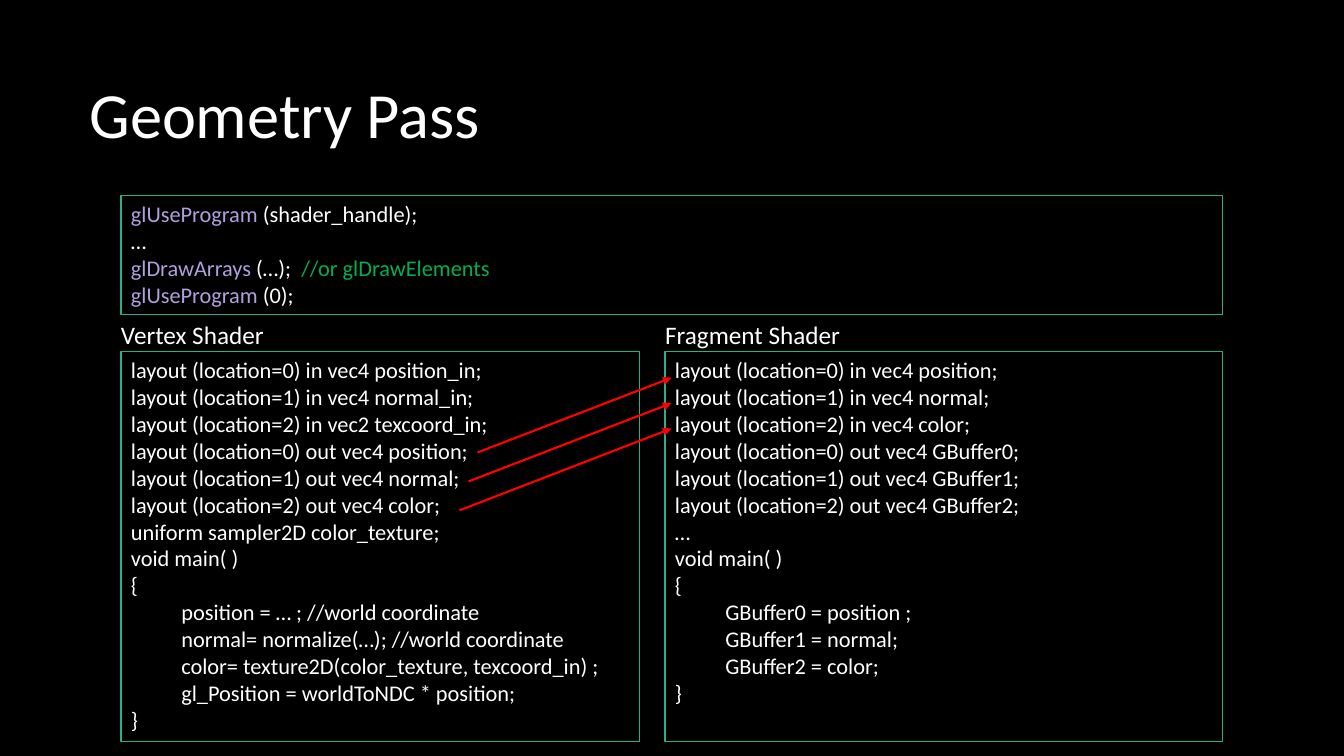
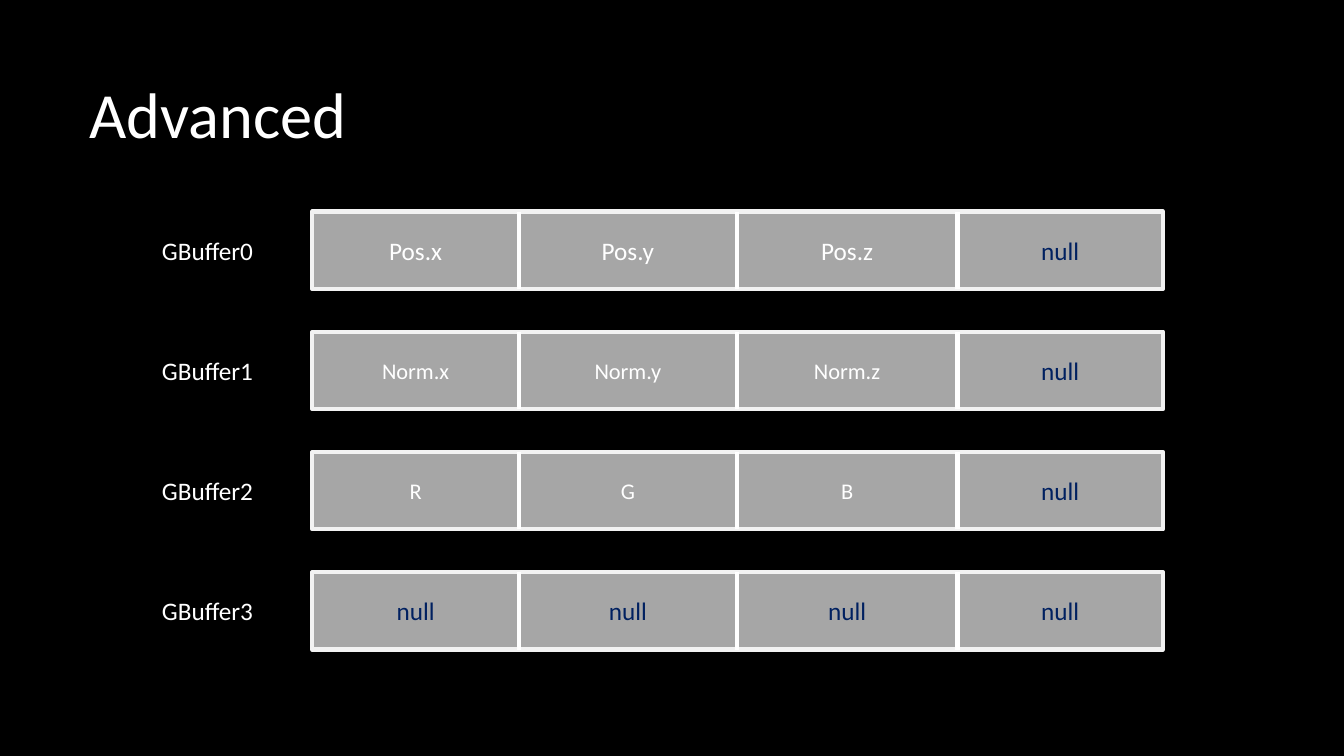
import itertools

import pptx
import pptx.dml.color
import pptx.enum.shapes
import pptx.enum.text
import pptx.oxml
import pptx.oxml.ns
import pptx.util

Cm = pptx.util.Cm
Pt = pptx.util.Pt
RGB = pptx.dml.color.RGBColor
ALIGN = pptx.enum.text.PP_ALIGN
ANCHOR = pptx.enum.text.MSO_ANCHOR
RECT = pptx.enum.shapes.MSO_SHAPE.RECTANGLE
STRAIGHT = pptx.enum.shapes.MSO_CONNECTOR.STRAIGHT

BLACK = RGB(0x00, 0x00, 0x00)
WHITE = RGB(0xFF, 0xFF, 0xFF)
GREEN = RGB(0x29, 0xAF, 0x8C)
LILAC = RGB(0xB0, 0xA0, 0xDD)
NOTE = RGB(0x00, 0xB0, 0x50)
RED = RGB(0xFF, 0x00, 0x00)
GREY = RGB(0xA6, 0xA6, 0xA6)
PALE = RGB(0xF2, 0xF2, 0xF2)
NAVY = RGB(0x00, 0x20, 0x60)

FONT = "Calibri"
TAB = Cm(1.27)

CALLS = [
    [("glUseProgram ", LILAC), ("(shader_handle);", WHITE)],
    "…",
    [("glDrawArrays", LILAC), (" (…);  ", WHITE), ("//or glDrawElements", NOTE)],
    [("glUseProgram ", LILAC), ("(0);", WHITE)],
]
VERTEX = [
    "layout (location=0) in vec4 position_in;",
    "layout (location=1) in vec4 normal_in;",
    "layout (location=2) in vec2 texcoord_in;",
    "layout (location=0) out vec4 position;",
    "layout (location=1) out vec4 normal;",
    "layout (location=2) out vec4 color;",
    "uniform sampler2D color_texture;",
    "void main( )",
    "{",
    "\tposition = … ; //world coordinate",
    "\tnormal= normalize(…); //world coordinate",
    "\tcolor= texture2D(color_texture, texcoord_in) ;",
    "\tgl_Position = worldToNDC * position;",
    "}",
]
FRAGMENT = [
    "layout (location=0) in vec4 position;",
    "layout (location=1) in vec4 normal;",
    "layout (location=2) in vec4 color;",
    "layout (location=0) out vec4 GBuffer0;",
    "layout (location=1) out vec4 GBuffer1;",
    "layout (location=2) out vec4 GBuffer2;",
    "…",
    "void main( )",
    "{",
    "\tGBuffer0 = position ;",
    "\tGBuffer1 = normal;",
    "\tGBuffer2 = color;",
    "}",
]
BUFFERS = [
    ("GBuffer0", ["Pos.x", "Pos.y", "Pos.z", "null"], 18),
    ("GBuffer1", ["Norm.x", "Norm.y", "Norm.z", "null"], 16),
    ("GBuffer2", ["R", "G", "B", "null"], 16),
    ("GBuffer3", ["null"] * 4, 18),
]
EDGES = [0, 5.21, 10.7, 16.26, 21.44]


def write(shape, lines, size=16, color=WHITE, align=ALIGN.LEFT,
          anchor=ANCHOR.TOP, space=None):
    """Fill a shape with lines, each a string or a list of (text, colour)."""
    frame = shape.text_frame
    frame.word_wrap = True
    frame.auto_size = pptx.enum.text.MSO_AUTO_SIZE.NONE
    frame.vertical_anchor = anchor
    for i, line in enumerate(lines):
        para = frame.add_paragraph() if i else frame.paragraphs[0]
        para.alignment = align
        if space:
            para.line_spacing = space
        runs = [(line, color)] if isinstance(line, str) else line
        if runs[0][0].startswith("\t"):
            para._p.get_or_add_pPr().append(pptx.oxml.parse_xml(
                f'<a:tabLst {pptx.oxml.ns.nsdecls("a")}>'
                f'<a:tab pos="{TAB}" algn="l"/></a:tabLst>'))
        for words, tint in runs:
            run = para.add_run()
            run.text = words
            run.font.name = FONT
            run.font.size = Pt(size)
            run.font.color.rgb = tint


def label(slide, box, words, **form):
    shape = slide.shapes.add_textbox(*map(Cm, box))
    write(shape, [words], **form)
    return shape


def frame(slide, box, line, width, fill=None):
    """Draw a rectangle with a plain outline."""
    shape = slide.shapes.add_shape(RECT, *map(Cm, box))
    shape.shadow.inherit = False
    if fill is None:
        shape.fill.background()
    else:
        shape.fill.solid()
        shape.fill.fore_color.rgb = fill
    shape.line.color.rgb = line
    shape.line.width = Pt(width)
    return shape


def rule(slide, ends, color, width, head=False):
    """Draw a straight line, with an arrowhead if asked."""
    line = slide.shapes.add_connector(STRAIGHT, *map(Cm, ends))
    line.line.color.rgb = color
    line.line.width = Pt(width)
    space = pptx.oxml.ns.nsdecls("a")
    if head:
        line.line._get_or_add_ln().append(
            pptx.oxml.parse_xml(f'<a:tailEnd {space} type="triangle"/>'))
    line._element.spPr.append(pptx.oxml.parse_xml(f"<a:effectLst {space}/>"))


def start(deck, title):
    """Add a slide with its title."""
    slide = deck.slides.add_slide(deck.slide_layouts[5])
    head = slide.shapes.title
    head.left, head.top, head.width, head.height = map(Cm, (2, 1.63, 13.6, 2.34))
    write(head, [title], size=46, anchor=ANCHOR.BOTTOM, space=0.9)
    return slide


def panel(slide, box, code, name=None):
    """Draw a code box, with its name above it."""
    left, top, wide, _ = box
    write(frame(slide, box, GREEN, 0.75), code)
    if name:
        tag = label(slide, (left, top - 0.95, wide, 1.02), name, size=18)
        tag.text_frame.margin_left = 0


def links(slide, left, top):
    """Join the three outputs to the inputs of the box at left, top."""
    for i in range(3):
        ends = (left - 4.72 - 0.23 * i, top + 2.54 + 0.73 * i,
                left + 0.16, top + 0.66 + 0.64 * i)
        rule(slide, ends, RED, 1.5, head=True)


def strip(slide, box, name, cells, size):
    """Draw a buffer as a row of cells, with its name to the left."""
    left, top, wide, high = box
    mid = dict(align=ALIGN.CENTER, anchor=ANCHOR.MIDDLE)
    frame(slide, box, PALE, 3, GREY)
    for edge in EDGES[1:-1]:
        rule(slide, (left + edge, top, left + edge, top + high), WHITE, 3)
    label(slide, (left - 4.47, top, 3.66, high), name, size=18, **mid)
    for words, (near, far) in zip(cells, itertools.pairwise(EDGES)):
        form = (dict(size=18, color=NAVY) if words == "null"
                else dict(size=size))
        label(slide, (left + near, top, far - near, high), words, **form, **mid)


def shaders(deck):
    slide = start(deck, "Geometry Pass")
    left, right, top, high = 3.05, 16.76, 8.86, 9.83
    panel(slide, (left, 4.93, 27.76, 3), CALLS)
    panel(slide, (left, top, 13.08, high), VERTEX, "Vertex Shader")
    panel(slide, (right, top, 14.05, high), FRAGMENT, "Fragment Shader")
    links(slide, right, top)


def buffers(deck):
    slide = start(deck, "Advanced")
    for i, (name, cells, size) in enumerate(BUFFERS):
        strip(slide, (7.87, 5.33 + 3.03 * i, EDGES[-1], 1.95), name, cells, size)


def main():
    deck = pptx.Presentation()
    deck.slide_width, deck.slide_height = Cm(33.87), Cm(19.05)
    back = deck.slide_master.background.fill
    back.solid()
    back.fore_color.rgb = BLACK
    shaders(deck)
    buffers(deck)
    deck.save("out.pptx")


if __name__ == "__main__":
    main()
